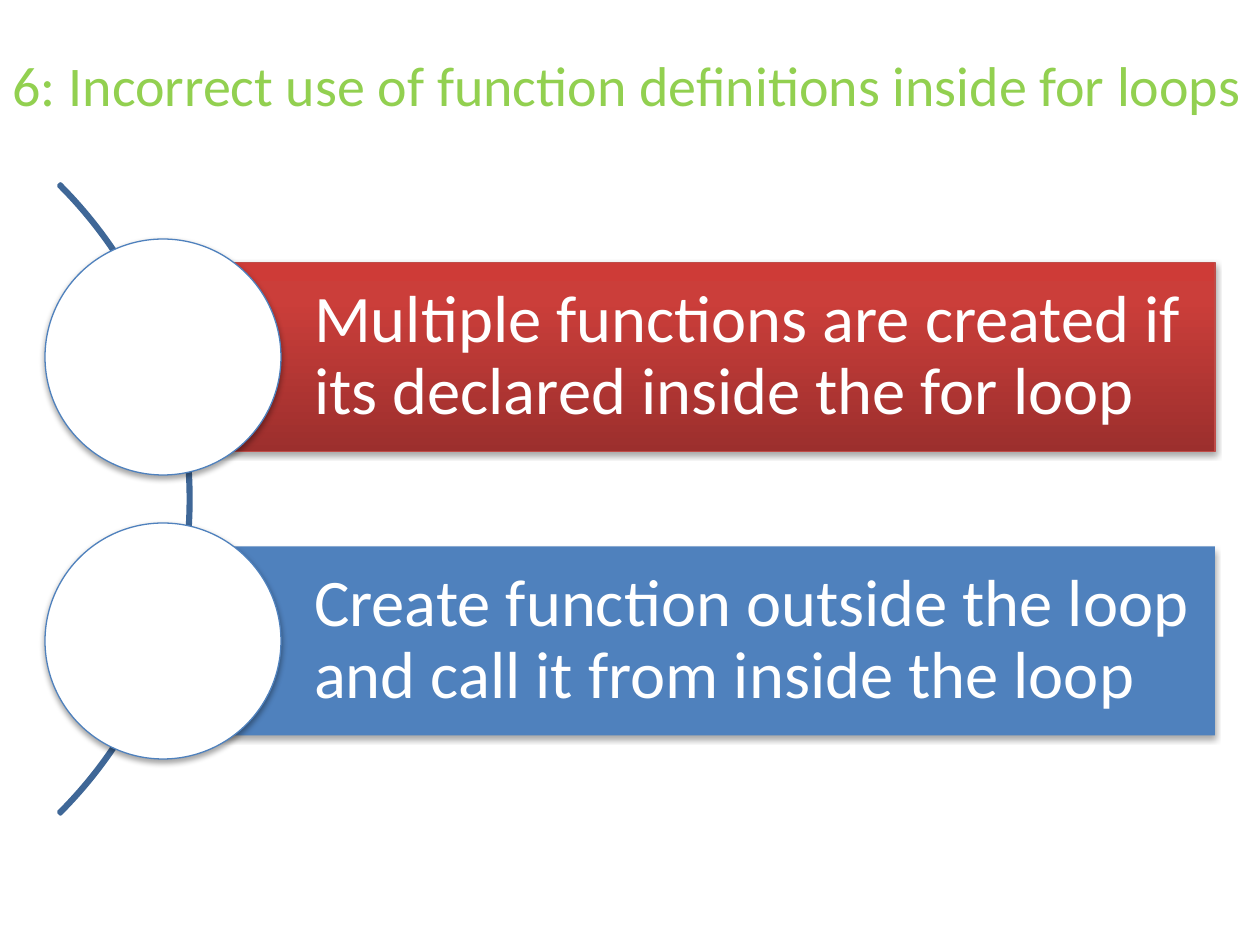
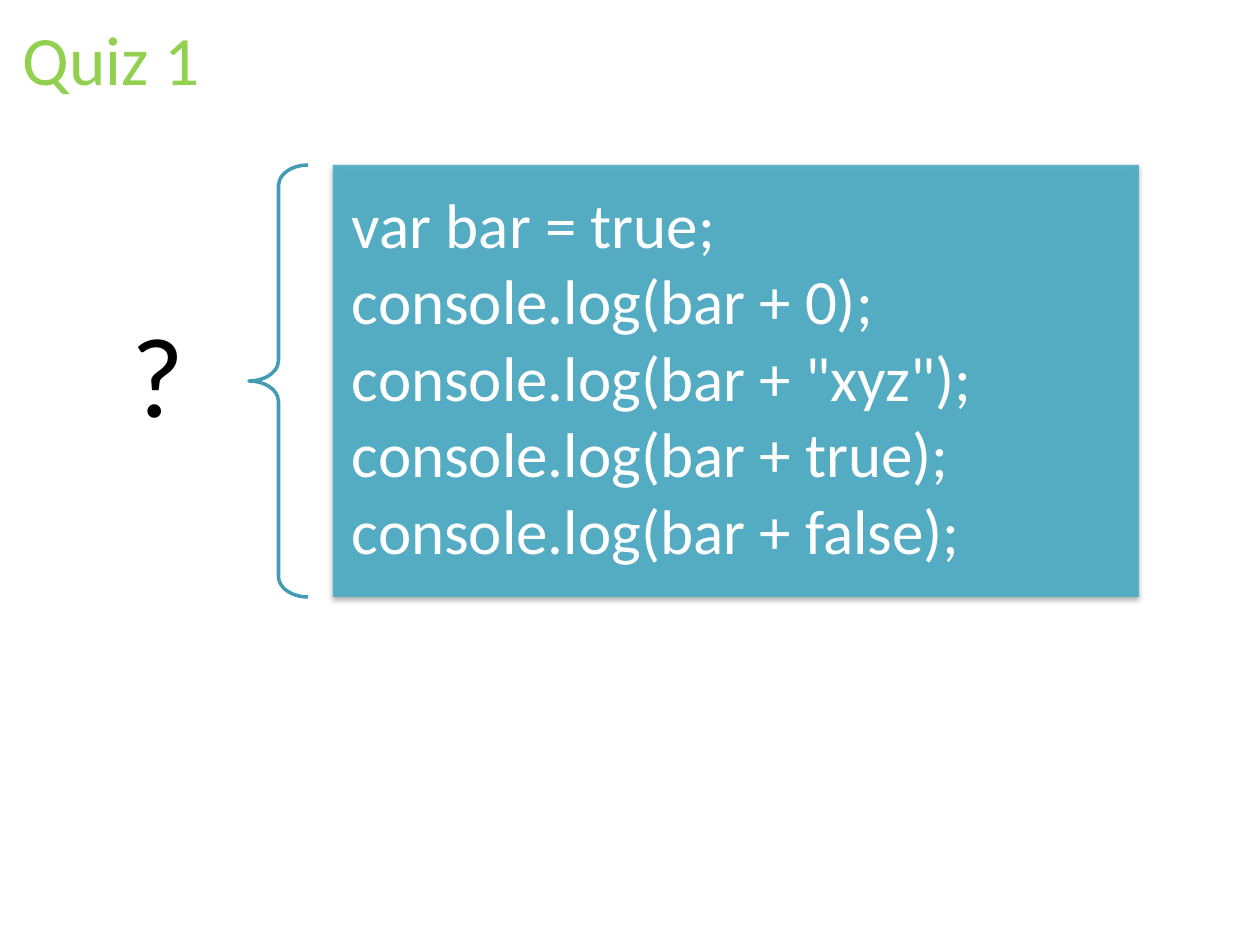
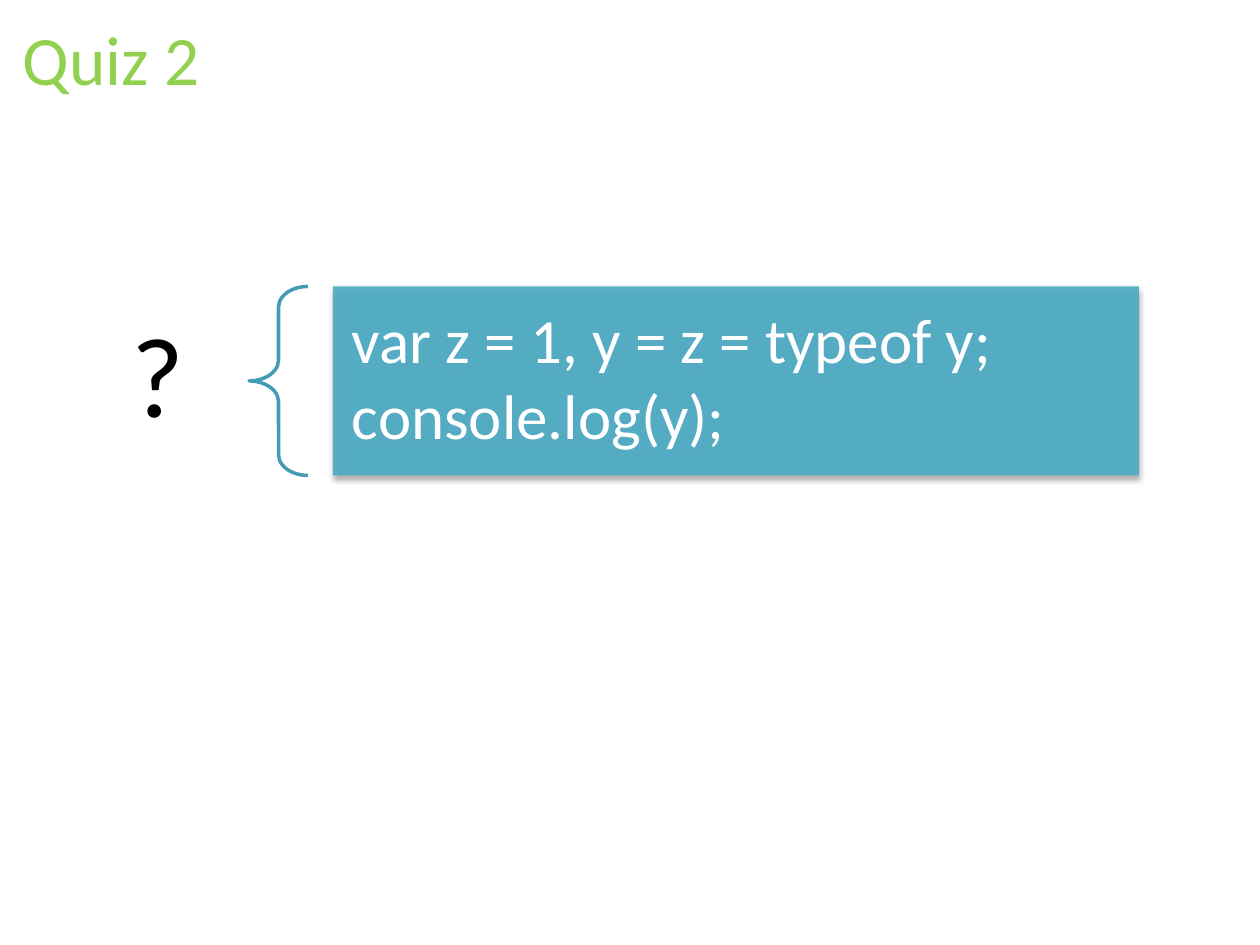
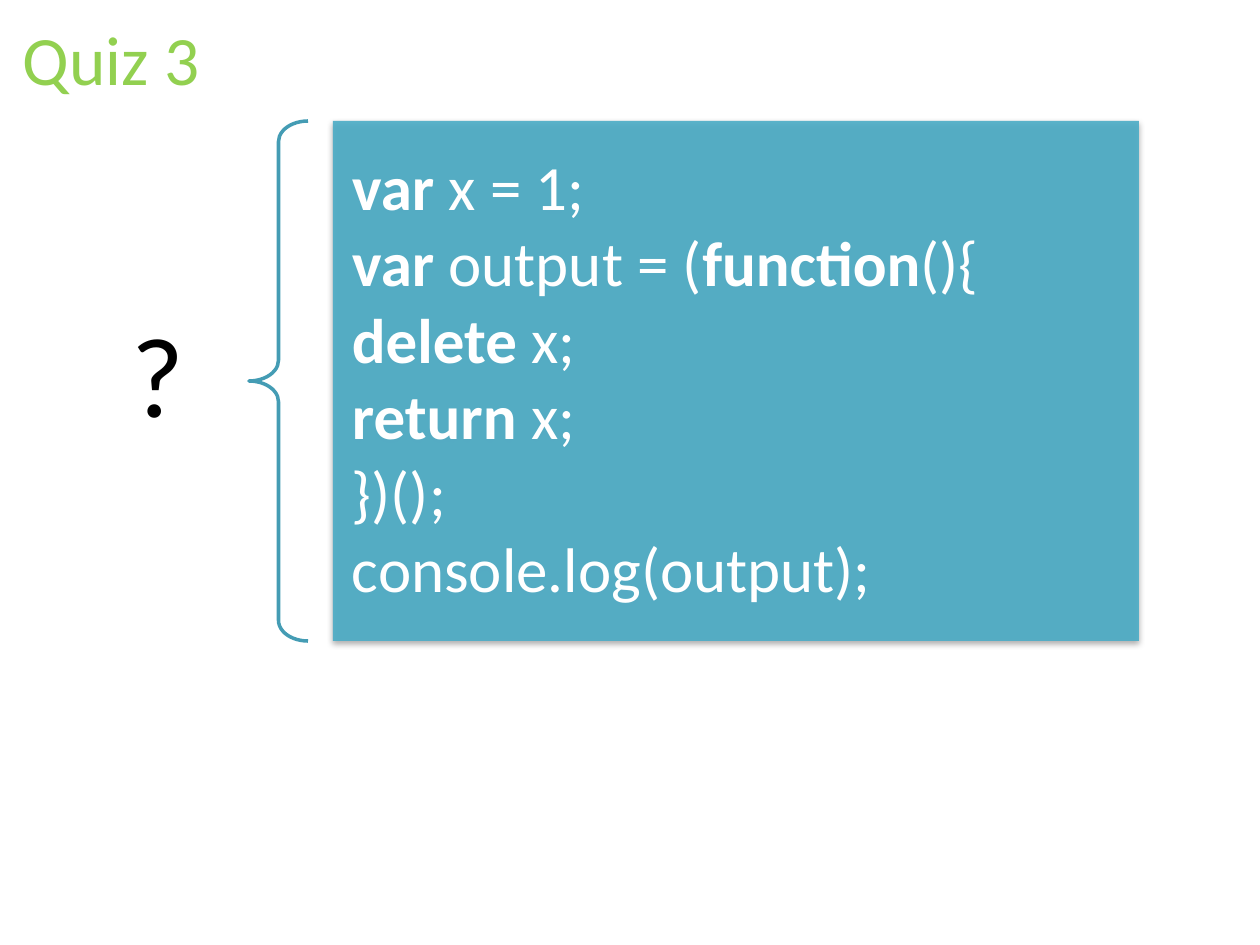
from copy import deepcopy
from lxml.etree import SubElement
from pptx import Presentation
from pptx.dml.color import RGBColor
from pptx.enum.shapes import MSO_SHAPE
from pptx.enum.text import MSO_ANCHOR, PP_ALIGN
from pptx.oxml.ns import qn
from pptx.util import Emu, Pt

SCALE = 914400 / 126
WIDE, HIGH = 1260, 945
FONT = "Calibri"
GREEN, WHITE, BLACK = "92D050", "FFFFFF", "000000"
BLUE, NAVY, TEAL, CYAN = "4F81BD", "3F6797", "449CB4", "4BACC6"
RED_EDGE = "BF4C48"
RED_FADE = [(0, "9C2F2D"), (0.8, "CB3E3A"), (1, "CE3B37")]

BARS = [
    ("Multiple functions are created if its declared inside the for loop",
     RED_FADE, RED_EDGE),
    ("Create function outside the loop and call it from inside the loop",
     BLUE, None),
]
# Words between asterisks are bold.
QUIZZES = [
    ("Quiz 1", 432, ["var bar = true;", "console.log(bar + 0);",
                     'console.log(bar + "xyz");', "console.log(bar + true);",
                     "console.log(bar + false);"]),
    ("Quiz 2", 189, ["var z = 1, y = z = typeof y;", "console.log(y);"]),
    ("Quiz 3", 520, ["*var* x = 1;", "*var* output = (*function*(){",
                     "*delete* x;", "*return* x;", "})();",
                     "console.log(output);"]),
]


def px(num):
    return Emu(round(num * SCALE))


def tint(code):
    return RGBColor.from_string(code)


def assign(item, **values):
    for name, value in values.items():
        setattr(item, name, value)


def place(item, box):
    assign(item, **dict(zip(("left", "top", "width", "height"), map(px, box))))


def write(frame, lines, size, color, pads=None, hang=0, **form):
    assign(frame, word_wrap=True, vertical_anchor=MSO_ANCHOR.MIDDLE)
    if pads:
        sides = ("margin_left", "margin_top", "margin_right", "margin_bottom")
        assign(frame, **dict(zip(sides, map(px, pads))))
    for num, line in enumerate(lines):
        para = frame.add_paragraph() if num else frame.paragraphs[0]
        assign(para, **{"alignment": PP_ALIGN.LEFT, **form})
        if hang:
            props = para._p.get_or_add_pPr()
            props.set("marL", str(px(hang)))
            props.set("indent", str(px(-hang)))
        for part, words in enumerate(line.split("*")):
            if words:
                run = para.add_run()
                run.text = words
                assign(run.font, name=FONT, size=Pt(size), bold=part % 2 == 1)
                run.font.color.rgb = tint(color)


def fade(shape, stops):
    """Fill from bottom to top through the given stops."""
    shape.fill.gradient()
    shape.fill.gradient_angle = 90
    marks = shape._element.spPr.find(".//" + qn("a:gsLst"))
    while len(marks) < len(stops):
        marks.append(deepcopy(marks[0]))
    for mark, (spot, code) in zip(shape.fill.gradient_stops, stops):
        mark.position = spot
        mark.color.rgb = tint(code)


def shade(shape):
    """Cast a soft shadow straight down."""
    effects = shape._element.spPr.find(qn("a:effectLst"))
    cast = SubElement(effects, qn("a:outerShdw"), blurRad="40000",
                      dist="23000", dir="5400000", rotWithShape="0")
    color = SubElement(cast, qn("a:srgbClr"), val=BLACK)
    SubElement(color, qn("a:alpha"), val="35000")


def draw(slide, kind, box, fill=None, edge=None, weight=0.75, adjust=(),
         shadow=False):
    shape = slide.shapes.add_shape(kind, *map(px, box))
    for num, value in enumerate(adjust):
        shape.adjustments[num] = value
    if fill is None:
        shape.fill.background()
    elif isinstance(fill, list):
        fade(shape, fill)
    else:
        shape.fill.solid()
        shape.fill.fore_color.rgb = tint(fill)
    if edge:
        shape.line.color.rgb = tint(edge)
        shape.line.width = Pt(weight)
    else:
        shape.line.fill.background()
    shape.shadow.inherit = False
    if shadow:
        shade(shape)
    return shape


def start(deck, title, box, size):
    """Add a slide with its title."""
    slide = deck.slides.add_slide(deck.slide_layouts[5])
    head = slide.shapes.title
    place(head, box)
    write(head.text_frame, [title], size, GREEN)
    return slide


def add_bars(slide, box):
    """Stack bars with discs along an arc."""
    left, top, width, height = box
    bar, disc, inset = 189, 236, 119
    step = height - disc
    size = 891
    draw(slide, MSO_SHAPE.BLOCK_ARC,
         (left - 745, top + height / 2 - size / 2, size, size),
         edge=NAVY, weight=2, adjust=(189, 27, 0.003))
    for num, (words, fill, edge) in enumerate(BARS):
        y = top + num * step
        shape = draw(slide, MSO_SHAPE.RECTANGLE,
                     (left + inset, y + (disc - bar) / 2, width - inset, bar),
                     fill, edge, shadow=True)
        write(shape.text_frame, [words], 38, WHITE, (150, 14, 14, 14),
              line_spacing=0.9, space_after=Pt(13))
        draw(slide, MSO_SHAPE.OVAL, (left, y, disc, disc), WHITE, BLUE,
             shadow=True)


def add_code(slide, box, lines):
    """Set a question mark and a brace before a panel of code."""
    left, top, width, height = box
    mark = slide.shapes.add_textbox(
        *map(px, (left, top + height / 2 - 89, 296, 178)))
    write(mark.text_frame, ["?"], 65, BLACK, (64, 23, 64, 23),
          alignment=PP_ALIGN.RIGHT, line_spacing=0.9)
    draw(slide, MSO_SHAPE.LEFT_BRACE, (left + 297, top, 59, height),
         edge=TEAL, weight=2, adjust=(0.35, 0.5))
    panel = draw(slide, MSO_SHAPE.RECTANGLE,
                 (left + 381, top, width - 381, height), CYAN, shadow=True)
    color = panel._element.spPr.find(qn("a:solidFill"))[0]
    SubElement(color, qn("a:alpha"), val="90000")
    write(panel.text_frame, lines, 36, WHITE, (19, 19, 19, 19), hang=39,
          line_spacing=0.9, space_after=Pt(4.8))


def main():
    deck = Presentation()
    assign(deck, slide_width=px(WIDE), slide_height=px(HIGH))
    slide = start(
        deck, "6: Incorrect use of function definitions inside for loops",
        (0, 32, WIDE, 105), 32)
    add_bars(slide, (45, 239, 1170, 520))
    middle = 381
    for title, height, lines in QUIZZES:
        slide = start(deck, title, (10, 10, 1071, 95), 39.6)
        add_code(slide, (-48, middle - height / 2, 1187, height), lines)
    deck.save("out.pptx")


if __name__ == "__main__":
    main()
